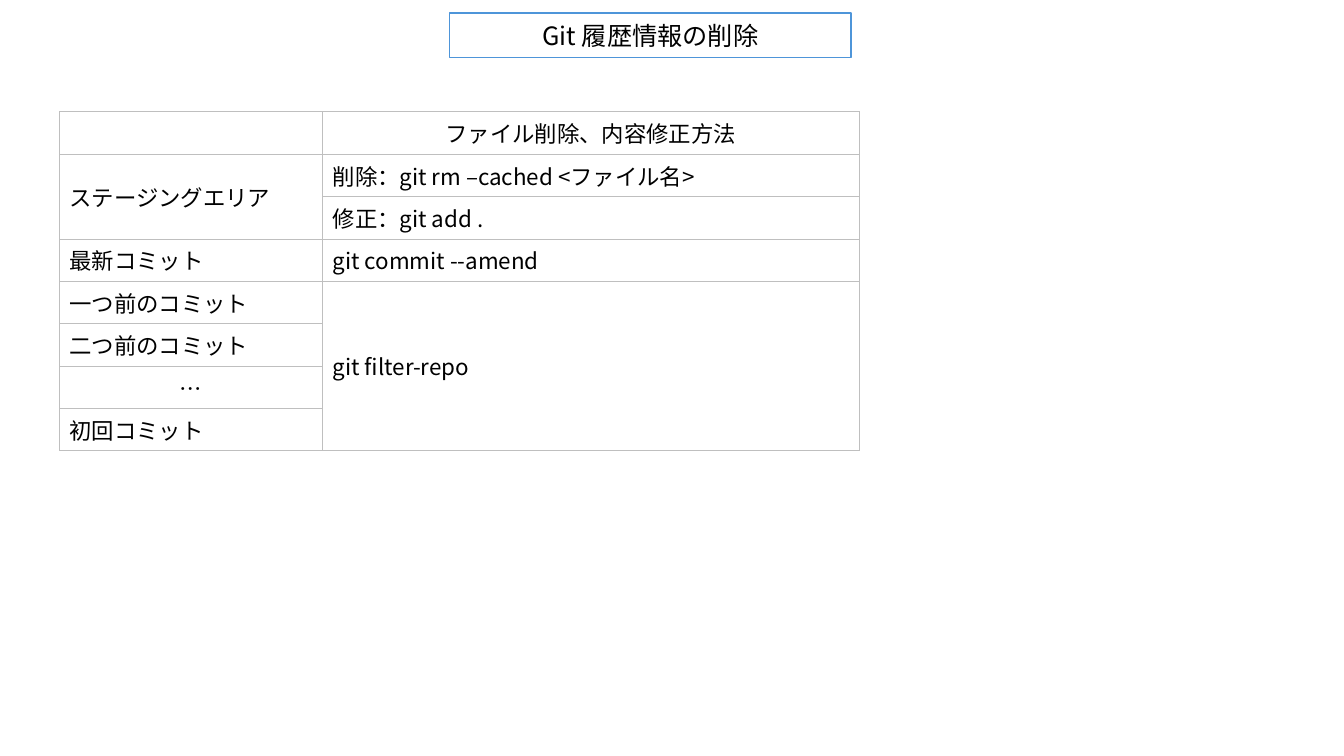
from lxml.etree import SubElement
from pptx import Presentation
from pptx.dml.color import RGBColor
from pptx.enum.text import MSO_ANCHOR, MSO_AUTO_SIZE, PP_ALIGN
from pptx.oxml import parse_xml
from pptx.oxml.ns import nsdecls, qn
from pptx.util import Inches, Pt

FONT = "Noto Sans CJK JP"
BLACK, BLUE, GRAY = "000000", "4E95D9", "BFBFBF"
ROW_HEIGHT = 0.41
COLUMN_WIDTHS = (2.61, 5.32)
HISTORY = (
    ("", "ファイル削除、内容修正方法"),
    ("ステージングエリア", "削除：git rm –cached <ファイル名>"),
    ("", "修正：git add ."),
    ("最新コミット", "git commit --amend"),
    ("一つ前のコミット", "git filter-repo"),
    ("二つ前のコミット", ""),
    ("…", ""),
    ("初回コミット", ""),
)
MERGES = (((1, 0), (2, 0)), ((4, 1), (7, 1)))
CENTERED = ((0, 1), (6, 0))


def color(value):
    return RGBColor.from_string(value)


def apply(target, formats):
    for name, value in formats.items():
        setattr(target, name, value)


def write(frame, text, size, align):
    paragraph = frame.paragraphs[0]
    paragraph.alignment = align
    run = paragraph.add_run()
    run.text = text
    run.font.color.rgb = color(BLACK)
    apply(run.font, {"size": Pt(size), "name": FONT, "bold": False})
    SubElement(run.font._element, qn("a:ea"), typeface=FONT)


def add_borders(cell):
    properties = cell._tc.get_or_add_tcPr()
    for position, side in enumerate(("lnL", "lnR", "lnT", "lnB")):
        border = parse_xml(
            f'<a:{side} {nsdecls("a")} w="{Pt(0.75)}"><a:solidFill>'
            f'<a:srgbClr val="{GRAY}"/></a:solidFill></a:{side}>'
        )
        properties.insert(position, border)


def format_title(title):
    apply(title, {
        "left": Inches(4.46), "top": Inches(0.13),
        "width": Inches(3.98), "height": Inches(0.44),
    })
    outline = parse_xml(
        f'<a:prstGeom {nsdecls("a")} prst="roundRect"><a:avLst/></a:prstGeom>'
    )
    title._element.spPr.find(qn("a:xfrm")).addnext(outline)
    title.fill.background()
    title.line.color.rgb = color(BLUE)
    title.line.width = Pt(1)
    apply(title.text_frame, {
        "auto_size": MSO_AUTO_SIZE.NONE,
        "vertical_anchor": MSO_ANCHOR.MIDDLE,
        "word_wrap": True,
    })
    write(title.text_frame, "Git 履歴情報の削除", 18, PP_ALIGN.CENTER)


def add_history_table(slide):
    table = slide.shapes.add_table(
        len(HISTORY), len(COLUMN_WIDTHS), Inches(0.59), Inches(1.11),
        Inches(sum(COLUMN_WIDTHS)), Inches(ROW_HEIGHT * len(HISTORY)),
    ).table
    apply(table, {"first_row": False, "horz_banding": False})
    for column, width in zip(table.columns, COLUMN_WIDTHS):
        column.width = Inches(width)
    for row_index, texts in enumerate(HISTORY):
        table.rows[row_index].height = Inches(ROW_HEIGHT)
        for column_index, text in enumerate(texts):
            cell = table.cell(row_index, column_index)
            cell.fill.background()
            cell.vertical_anchor = MSO_ANCHOR.MIDDLE
            add_borders(cell)
            if text:
                centered = (row_index, column_index) in CENTERED
                align = PP_ALIGN.CENTER if centered else PP_ALIGN.LEFT
                write(cell.text_frame, text, 16, align)
    for first, last in MERGES:
        table.cell(*first).merge(table.cell(*last))


def main():
    presentation = Presentation()
    apply(presentation, {
        "slide_width": Inches(13.33), "slide_height": Inches(7.5),
    })
    slide = presentation.slides.add_slide(presentation.slide_layouts[5])
    format_title(slide.shapes.title)
    add_history_table(slide)
    presentation.save("out.pptx")


if __name__ == "__main__":
    main()
